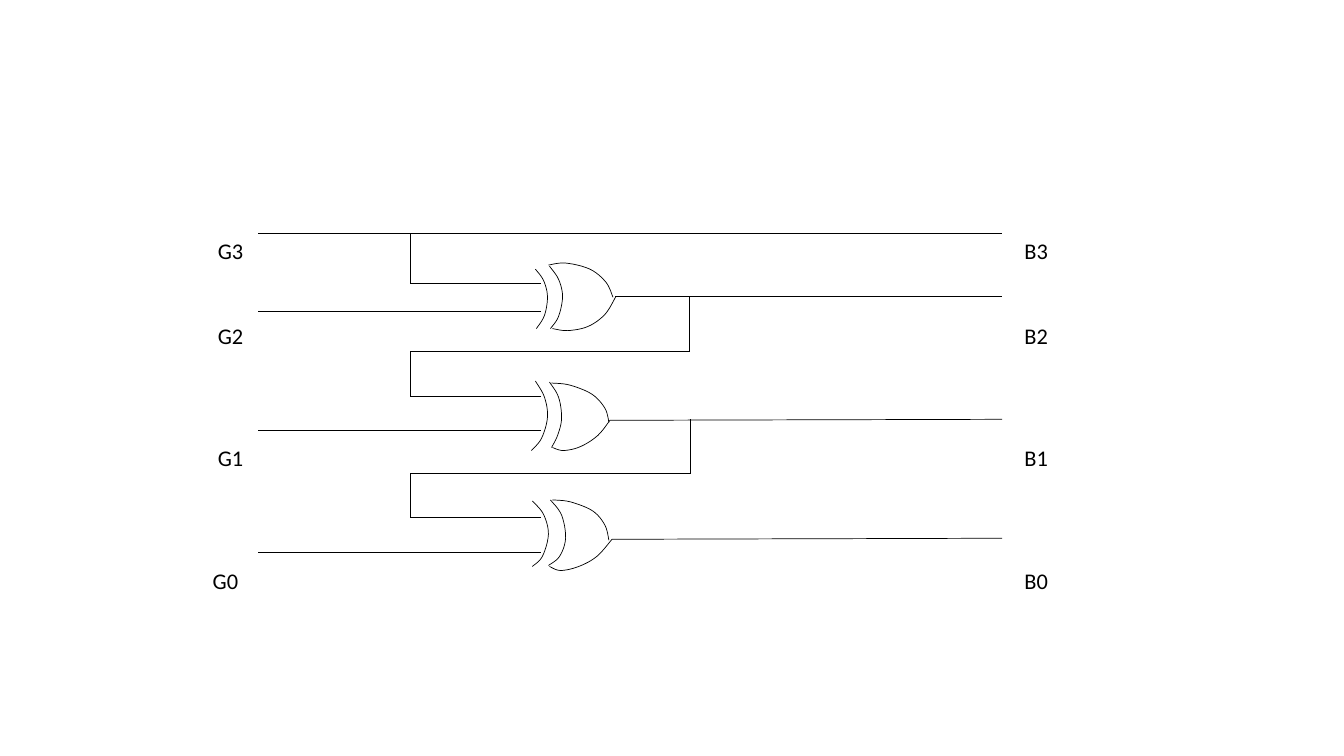
from lxml import etree
from pptx import Presentation
from pptx import util as u
from pptx.dml.color import RGBColor
from pptx.enum import shapes, text
from pptx.oxml.ns import qn

INK = {"line": "000000", "text": "000000"}
COLS, ROWS = 133.3, 75  # grid of tenth-inch cells
STEPS = 6  # segments between two knots of a curve


def bend(a, b, c, d, t):
    """Catmull-Rom value between b and c."""
    return b + t / 2 * (c - a + t * (2 * a - 5 * b + 4 * c - d
                                     + t * (3 * (b - c) + d - a)))


def smooth(knots):
    """Points along a soft curve through the knots."""
    pad = [knots[0], *knots, knots[-1]]
    dots = [tuple(bend(*axis, s / STEPS) for axis in zip(*pad[i:i + 4]))
            for i in range(len(knots) - 1) for s in range(STEPS)]
    return dots + [knots[-1]]


class Page:
    """Holds the style and the current slide."""

    def __init__(self, deck):
        self.slide = deck.slides.add_slide(deck.slide_layouts[6])
        self.cell = deck.slide_width / COLS, deck.slide_height / ROWS
        self.font = {"name": "Calibri", "size": u.Pt(16)}
        self.width = u.Pt(0.51)

    def at(self, *spots):
        return [round(v * self.cell[i % 2]) for i, v in enumerate(spots)]

    def ink(self, line):
        line.color.rgb = RGBColor.from_string(INK["line"])
        line.width = self.width

    def label(self, words, x, y):
        box = self.slide.shapes.add_textbox(*self.at(x, y, 2.8, 2.9))
        frame = box.text_frame
        form = {"margin_left": u.Inches(0.01), "margin_right": 0,
                "margin_top": u.Inches(0.01), "margin_bottom": 0,
                "word_wrap": True,
                "auto_size": text.MSO_AUTO_SIZE.SHAPE_TO_FIT_TEXT}
        for key, val in form.items():
            setattr(frame, key, val)
        para = frame.paragraphs[0]
        para.space_before = u.Pt(1)
        run = para.add_run()
        run.text = words
        for key, val in self.font.items():
            setattr(run.font, key, val)
        run.font.color.rgb = RGBColor.from_string(INK["text"])

    def wire(self, *ends):
        link = self.slide.shapes.add_connector(
            shapes.MSO_CONNECTOR.STRAIGHT, *self.at(*ends))
        self.ink(link.line)
        etree.SubElement(link._element.spPr, qn("a:effectLst"))

    def curve(self, knots):
        dots = [self.at(*dot) for dot in smooth(knots)]
        pen = self.slide.shapes.build_freeform(*dots[0])
        pen.add_line_segments(dots[1:], close=False)
        arc = pen.convert_to_shape()
        arc.shadow.inherit = False
        arc.fill.background()
        self.ink(arc.line)


deck = Presentation()
deck.slide_width, deck.slide_height = u.Inches(13.33), u.Inches(7.5)
page = Page(deck)

# Input and output names
for bit, x, y in ((3, 21.5, 23.4), (2, 21.5, 31.85), (1, 21.5, 44), (0, 21, 56.15)):
    page.label(f"G{bit}", x, y)
    page.label(f"B{bit}", 101.5, y)

# Wires: the top line, then each gate's tap, inputs and output
LEFT, TAP, GATE, RIGHT = 25.6, 40.7, 53.7, 99.4
TOP = 23.15
page.wire(LEFT, TOP, RIGHT, TOP)
# tap start, upper input, lower input, output start, output rows
rows = ((TOP, 28.1, 30.9, 61, 29.4, 29.4),
        (34.9, 39.35, 42.7, 60.5, 41.7, 41.6),
        (47, 51.3, 54.8, 60.7, 53.5, 53.4))
for tap, high, low, tip, out, end in rows:
    page.wire(TAP, tap, TAP, high)
    page.wire(TAP, high, GATE, high)
    page.wire(LEFT, low, GATE, low)
    page.wire(tip, out, RIGHT, end)

# Feedback from each output down to the next tap
for back, (*_, out), (tap, *_) in zip((68.4, 68.5), rows, rows[1:]):
    page.wire(back, out, back, tap)
    page.wire(TAP, tap, back, tap)

# XOR gates: outer arc, inner arc, upper edge, lower edge
gates = (
    (((53.1, 26.7), (53.9, 27.8), (54.3, 29.4), (54, 31.3), (53.2, 32.6)),
     ((54.5, 26.4), (55.4, 27.7), (55.8, 29.4), (55.4, 31.4), (54.6, 32.6)),
     ((54.4, 26.3), (56.1, 26.1), (58.5, 26.7), (60.1, 28), (60.8, 29.5)),
     ((61.1, 29.4), (60, 31.2), (58.3, 32.4), (56.3, 32.8), (54.8, 32.6))),
    (((53.1, 37.8), (54, 39.4), (54.3, 41.4), (53.7, 43.5), (52.7, 44.7)),
     ((54.5, 37.9), (55.4, 39.4), (55.7, 41.5), (55.3, 43.2), (54.7, 44.4)),
     ((54.7, 38), (56.5, 38.2), (58.7, 39.1), (60, 40.5), (60.4, 41.9)),
     ((60.5, 41.7), (59.3, 43.2), (57.6, 44.3), (55.9, 44.7), (54.8, 44.4))),
    (((52.8, 49.7), (53.9, 51), (54.4, 53), (53.8, 55.2), (52.8, 56.2)),
     ((54.6, 49.6), (55.7, 51.1), (56.1, 53.4), (55.5, 55.2), (54.4, 56.1)),
     ((54.8, 49.6), (56.6, 49.8), (58.8, 50.7), (60, 52.1), (60.4, 53.6)),
     ((60.7, 53.5), (59.2, 55.2), (57.4, 56.2), (55.6, 56.6), (54.5, 56.2))),
)
for gate in gates:
    for knots in gate:
        page.curve(knots)

deck.save("out.pptx")
